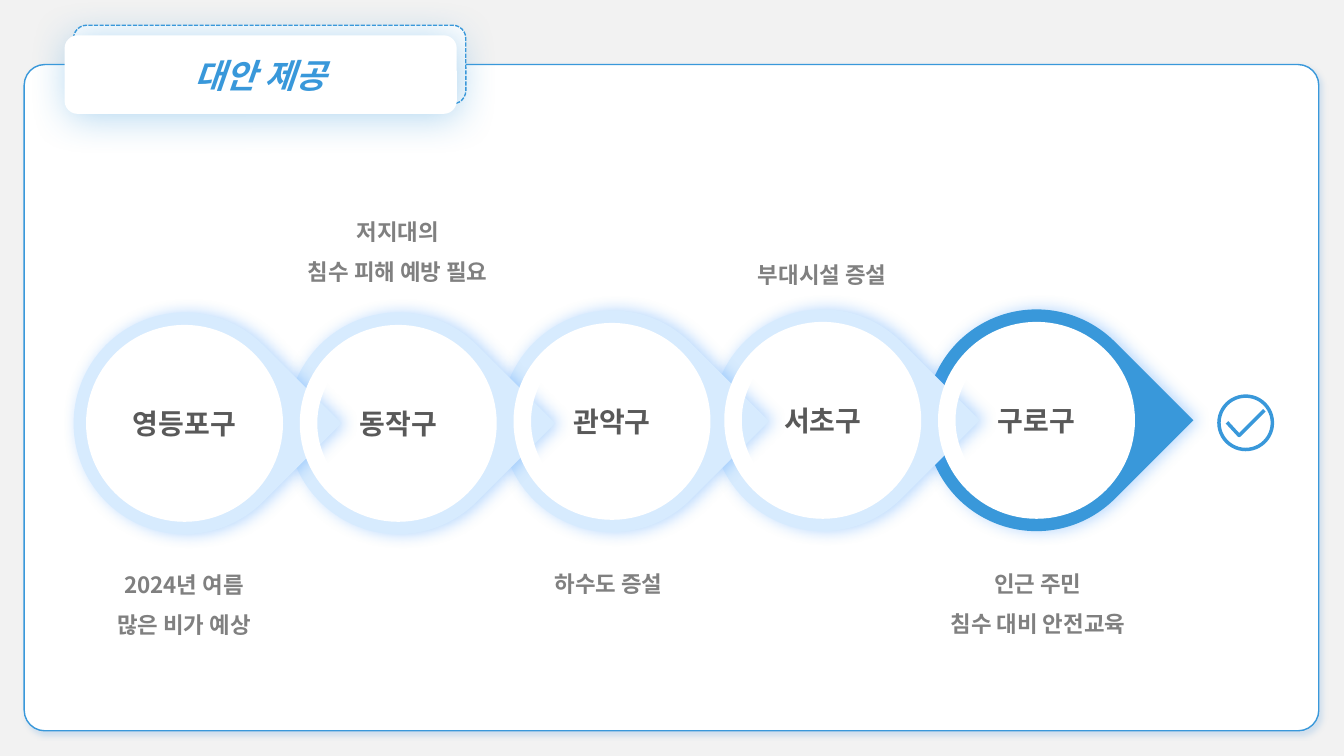
from lxml.etree import SubElement
from pptx import Presentation
from pptx.dml.color import RGBColor
from pptx.enum.dml import MSO_LINE
from pptx.enum.shapes import MSO_SHAPE
from pptx.enum.text import MSO_ANCHOR, PP_ALIGN
from pptx.oxml.ns import qn
from pptx.util import Inches, Pt

# Content: name, drop column and row, caption column and row, caption lines
DISTRICTS = [
    ("영등포구", 73, 310, 46, 548, ["2024년 여름", "많은 비가 예상"]),
    ("동작구", 285, 310, 258, 198, ["저지대의", "침수 피해 예방 필요"]),
    ("관악구", 497, 308, 467, 547, ["하수도 증설"]),
    ("서초구", 706, 307, 679, 241, ["부대시설 증설"]),
    ("구로구", 918, 307, 893, 547, ["인근 주민", "침수 대비 안전교육"]),
]
TITLE = "대안 제공"
FONT = "Noto Sans CJK KR"

BLUE = RGBColor(0x39, 0x98, 0xDA)
PALE = RGBColor(0xD7, 0xEB, 0xFE)
WHITE = RGBColor(0xFF, 0xFF, 0xFF)
BACKDROP = RGBColor(0xF2, 0xF2, 0xF2)
NAME_GRAY = RGBColor(0x59, 0x59, 0x59)
CAPTION_GRAY = RGBColor(0x80, 0x80, 0x80)
PANEL_SHADOW = RGBColor(0x9D, 0xC3, 0xE6)
DROP_SHADOW = RGBColor(0x48, 0x9B, 0xFB)
BLACK = RGBColor(0, 0, 0)

# Grid: 1333 columns by 750 rows
CELL = Inches(0.01)
COLUMNS, ROWS = 1333, 750
DROP, DISC, RING = 220, 168, 178
CAPTION_WIDTH, CAPTION_LINE = 273, 43

deck = Presentation()
deck.slide_width, deck.slide_height = COLUMNS * CELL, ROWS * CELL
page = deck.slides.add_slide(deck.slide_layouts[6])
page.background.fill.solid()
page.background.fill.fore_color.rgb = BACKDROP


def paint(shape, fill=None, line=None, weight=1):
    shape.shadow.inherit = False
    if fill is None:
        shape.fill.background()
    else:
        shape.fill.solid()
        shape.fill.fore_color.rgb = fill
    if line is None:
        shape.line.fill.background()
    else:
        shape.line.color.rgb = line
        shape.line.width = Pt(weight)


def add(kind, column, row, width, height, **style):
    shape = page.shapes.add_shape(
        kind, column * CELL, row * CELL, width * CELL, height * CELL)
    paint(shape, **style)
    return shape


def cast_shadow(shape, color, blur, distance, angle):
    effects = shape._element.spPr.find(qn("a:effectLst"))
    shadow = SubElement(
        effects, qn("a:outerShdw"), blurRad=str(Pt(blur)), dist=str(Pt(distance)),
        dir=str(angle * 60000), algn="ctr", rotWithShape="0")
    tint = SubElement(shadow, qn("a:srgbClr"), val=str(color))
    SubElement(tint, qn("a:alpha"), val="40000")


def write(box, lines, size, color, italic=None, spacing=None, wrap=True):
    frame = box.text_frame
    frame.word_wrap = wrap
    for index, line in enumerate(lines):
        para = frame.add_paragraph() if index else frame.paragraphs[0]
        para.alignment = PP_ALIGN.CENTER
        para.line_spacing = spacing
        span = para.add_run()
        span.text = line
        font = span.font
        font.name, font.size, font.bold, font.italic = FONT, Pt(size), True, italic
        font.color.rgb = color
        SubElement(span._r.get_or_add_rPr(), qn("a:ea"), typeface=FONT)


# Panel and title tab
panel = add(MSO_SHAPE.ROUNDED_RECTANGLE, 24, 64, 1284, 661, fill=WHITE, line=BLUE)
panel.adjustments[0] = 0.031
cast_shadow(panel, PANEL_SHADOW, 4, 3, 45)
dashed = add(MSO_SHAPE.ROUNDED_RECTANGLE, 73, 25, 389, 78, fill=WHITE, line=BLUE)
dashed.line.dash_style = MSO_LINE.SQUARE_DOT
title = add(MSO_SHAPE.ROUNDED_RECTANGLE, 64, 35, 389, 78, fill=WHITE)
cast_shadow(title, BLUE, 28, 3, 45)
title.text_frame.vertical_anchor = MSO_ANCHOR.MIDDLE
write(title, [TITLE], 24, BLUE, italic=True)

# Drops with named discs, right to left so each tip overlaps the next
for name, column, row, *_ in reversed(DISTRICTS):
    last = name == DISTRICTS[-1][0]
    drop = add(MSO_SHAPE.TEAR, column, row, DROP, DROP, fill=BLUE if last else PALE)
    drop.rotation = 45
    cast_shadow(drop, DROP_SHADOW, 11, 3, 0)
    inset = (DROP - DISC) // 2
    disc = add(MSO_SHAPE.OVAL, column + inset, row + inset, DISC, DISC, fill=WHITE)
    cast_shadow(disc, BLACK, 6, 0, 0)
    disc.text_frame.vertical_anchor = MSO_ANCHOR.MIDDLE
    write(disc, [name], 20, NAME_GRAY, wrap=False)

# White rings and captions
for name, column, row, caption_column, caption_row, lines in DISTRICTS:
    inset = (DROP - RING) // 2
    add(MSO_SHAPE.OVAL, column + inset, row + inset, RING, RING, line=WHITE, weight=12.5)
    caption = page.shapes.add_textbox(
        caption_column * CELL, caption_row * CELL,
        CAPTION_WIDTH * CELL, len(lines) * CAPTION_LINE * CELL)
    write(caption, lines, 16, CAPTION_GRAY, spacing=1.5)

# Check mark
add(MSO_SHAPE.OVAL, 1209, 393, 53, 53, fill=WHITE, line=BLUE, weight=2.5)
builder = page.shapes.build_freeform(1217, 419, scale=CELL)
builder.add_line_segments([(1229, 432), (1254, 407)], close=False)
paint(builder.convert_to_shape(), line=BLUE, weight=2.5)

deck.save("out.pptx")
